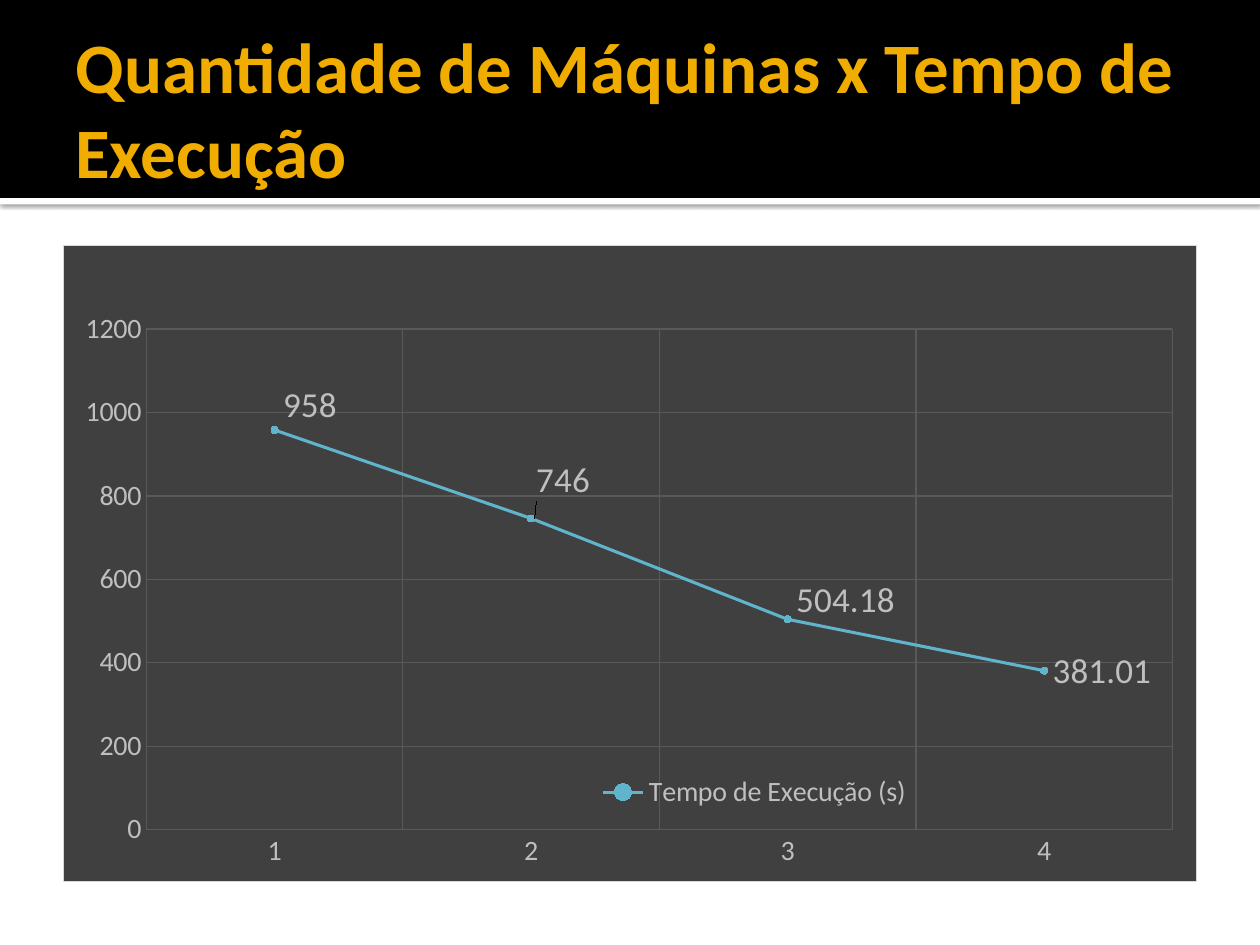
from lxml.etree import fromstring
from pptx import Presentation
from pptx.chart.data import CategoryChartData
from pptx.dml.color import RGBColor
from pptx.enum.chart import (XL_CHART_TYPE, XL_LABEL_POSITION, XL_LEGEND_POSITION,
                             XL_MARKER_STYLE, XL_TICK_MARK)
from pptx.enum.shapes import MSO_SHAPE
from pptx.enum.text import MSO_ANCHOR, MSO_AUTO_SIZE, PP_ALIGN
from pptx.oxml.ns import qn
from pptx.util import Cm, Pt

# Content
TITLE = "Quantidade de Máquinas x Tempo de Execução"
SERIES = "Tempo de Execução (s)"
TIMES = {"1": 958, "2": 746, "3": 504.18, "4": 381.01}

# Geometry: left, top, width, height in cm
BAND = (0, 0, 25.4, 3.99)
RULE = (0, 3.99, 25.4, 0.13)
TITLE_BOX = (1.27, 0.43, 22.86, 3.48)
CHART_BOX = (1.27, 4.93, 22.86, 12.85)

# Fractions of the chart
PLOT_AREA = {"x": 0.073, "y": 0.132, "w": 0.906, "h": 0.787}
LEGEND_AREA = {"x": 0.47, "y": 0.83, "w": 0.28, "h": 0.06}
LABEL_SHIFTS = [{"x": 0, "y": -0.04}, {"x": -0.003, "y": -0.06}, {"x": 0, "y": -0.03}]

GREY, DARK, GRID, BLUE = "BFBFBF", "404040", "595959", "60B5CC"
NS = ('xmlns:c="http://schemas.openxmlformats.org/drawingml/2006/chart" '
      'xmlns:a="http://schemas.openxmlformats.org/drawingml/2006/main"')


def rgb(value):
    return RGBColor.from_string(value)


def box(cm):
    return [Cm(v) for v in cm]


def style_font(font, color, **values):
    font.name = "Calibri"
    font.color.rgb = rgb(color)
    for name, value in values.items():
        setattr(font, name, value)


def style_line(line, color, width):
    line.color.rgb = rgb(color)
    line.width = Pt(width)


def add_bar(s, cm, color):
    sp = s.shapes.add_shape(MSO_SHAPE.RECTANGLE, *box(cm))
    sp.shadow.inherit = False
    sp.fill.solid()
    sp.fill.fore_color.rgb = rgb(color)
    sp.line.fill.background()
    return sp


def set_layout(element, index, area, fixed=True):
    """Place a chart part by fractions of the chart, or shift it from its default."""
    for old in element.findall(qn("c:layout")):
        element.remove(old)
    modes = '<c:xMode val="edge"/><c:yMode val="edge"/>' if fixed else ""
    if fixed and element.tag == qn("c:plotArea"):
        modes = '<c:layoutTarget val="inner"/>' + modes
    values = "".join(f'<c:{k} val="{v}"/>' for k, v in area.items())
    element.insert(index, fromstring(
        f"<c:layout {NS}><c:manualLayout>{modes}{values}</c:manualLayout></c:layout>"))


prs = Presentation()
prs.slide_width, prs.slide_height = Cm(25.4), Cm(19.05)
s = prs.slides.add_slide(prs.slide_layouts[5])

# Header band and the white rule with its shadow
rule = add_bar(s, RULE, "FFFFFF")
rule._element.spPr.find(qn("a:effectLst")).append(fromstring(
    f'<a:outerShdw {NS} blurRad="{Pt(2.5)}" dist="{Pt(0.8)}" dir="5400000" '
    'algn="tl" rotWithShape="0"><a:srgbClr val="000000"><a:alpha val="60000"/>'
    "</a:srgbClr></a:outerShdw>"))
add_bar(s, BAND, "000000")

# Title, brought in front of the band
title = s.shapes.title
s.shapes._spTree.append(title._element)
title.left, title.top, title.width, title.height = box(TITLE_BOX)
tf = title.text_frame
tf.text = TITLE
frame = dict(word_wrap=True, auto_size=MSO_AUTO_SIZE.NONE, vertical_anchor=MSO_ANCHOR.MIDDLE,
             margin_left=Cm(0.25), margin_right=Cm(0.13),
             margin_top=Cm(0.13), margin_bottom=Cm(0.13))
for name, value in frame.items():
    setattr(tf, name, value)
p = tf.paragraphs[0]
p.alignment = PP_ALIGN.LEFT
style_font(p.runs[0].font, "F0AD00", size=Pt(40.5), bold=True)

# Chart
data = CategoryChartData()
data.categories = list(TIMES)
data.add_series(SERIES, list(TIMES.values()))
chart = s.shapes.add_chart(XL_CHART_TYPE.LINE_MARKERS_STACKED, *box(CHART_BOX), data).chart
chart.has_title = False
style_font(chart.font, "000000", size=Pt(10))
space = chart._chartSpace
space.find(qn("c:chart")).addnext(fromstring(
    f'<c:spPr {NS}><a:solidFill><a:srgbClr val="{DARK}"/></a:solidFill>'
    f'<a:ln w="{Pt(0.75)}"><a:solidFill><a:srgbClr val="D9D9D9"/></a:solidFill></a:ln></c:spPr>'))
set_layout(space.find(".//" + qn("c:plotArea")), 0, PLOT_AREA)

# Axes
for axis in (chart.category_axis, chart.value_axis):
    axis.has_major_gridlines = True
    style_line(axis.major_gridlines.format.line, GRID, 0.75)
    axis.major_tick_mark = axis.minor_tick_mark = XL_TICK_MARK.NONE
    axis.format.line.fill.background()
    style_font(axis.tick_labels.font, GREY, size=Pt(16))
scale = dict(minimum_scale=0, maximum_scale=1200, major_unit=200)
for name, value in scale.items():
    setattr(chart.value_axis, name, value)

# Legend
chart.has_legend = True
legend = chart.legend
legend.position = XL_LEGEND_POSITION.TOP
legend.include_in_layout = True
style_font(legend.font, GREY, size=Pt(16))
set_layout(legend._element, 1, LEGEND_AREA)

# Series
series = chart.plots[0].series[0]
series.smooth = False
style_line(series.format.line, BLUE, 1.75)
marker = series.marker
marker.style, marker.size = XL_MARKER_STYLE.CIRCLE, 4
marker.format.fill.solid()
marker.format.fill.fore_color.rgb = rgb(BLUE)
style_line(marker.format.line, BLUE, 0.75)

# Data labels, the first ones lifted off the line
labels = series.data_labels
labels.show_value = True
labels.position = XL_LABEL_POSITION.RIGHT
style_font(labels.font, GREY, size=Pt(20))
for i, shift in enumerate(LABEL_SHIFTS):
    label = series.points[i].data_label
    style_font(label.font, GREY, size=Pt(20))
    label.position = XL_LABEL_POSITION.RIGHT
    set_layout(labels._element.findall(qn("c:dLbl"))[i], 1, shift, fixed=False)

prs.save("out.pptx")
